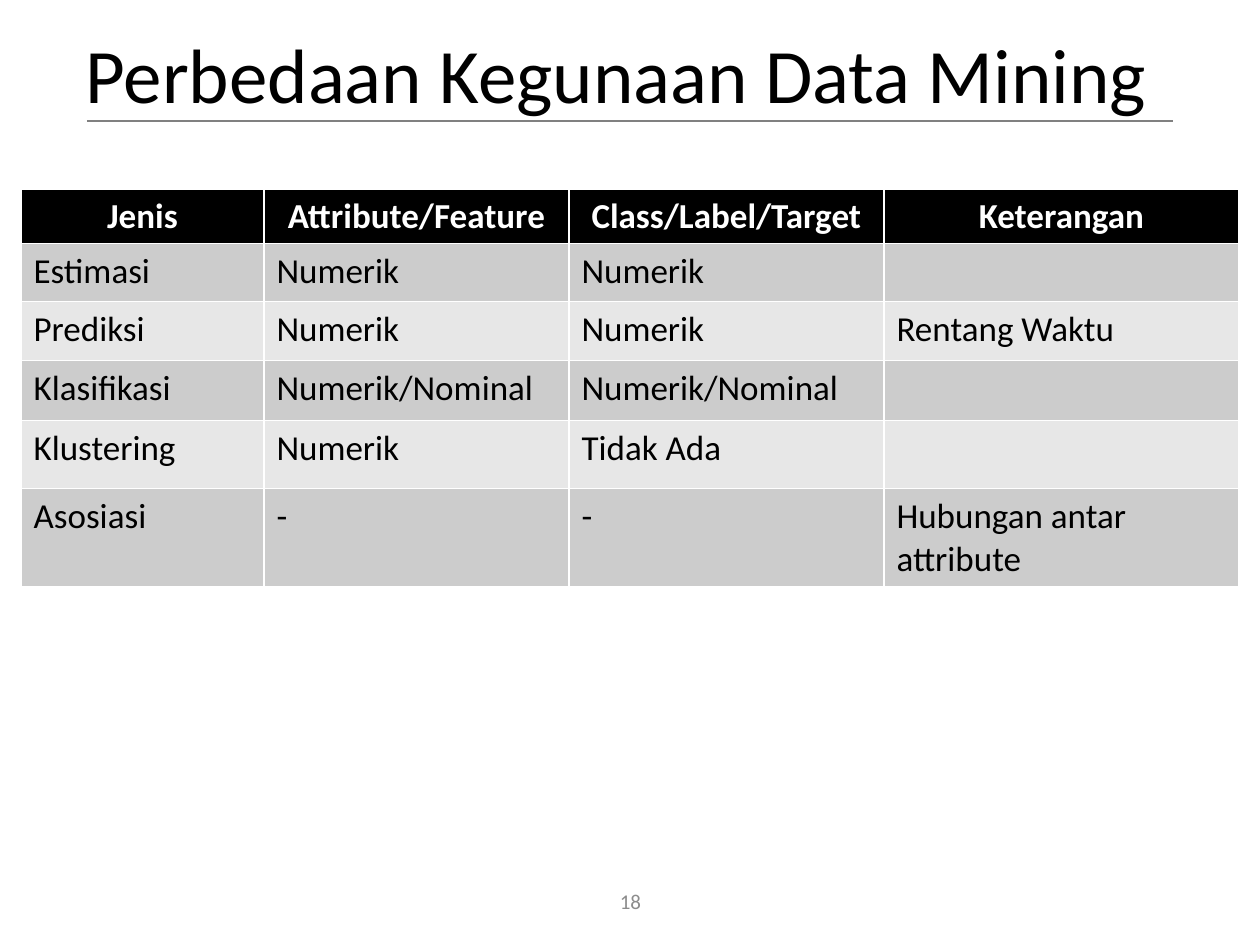
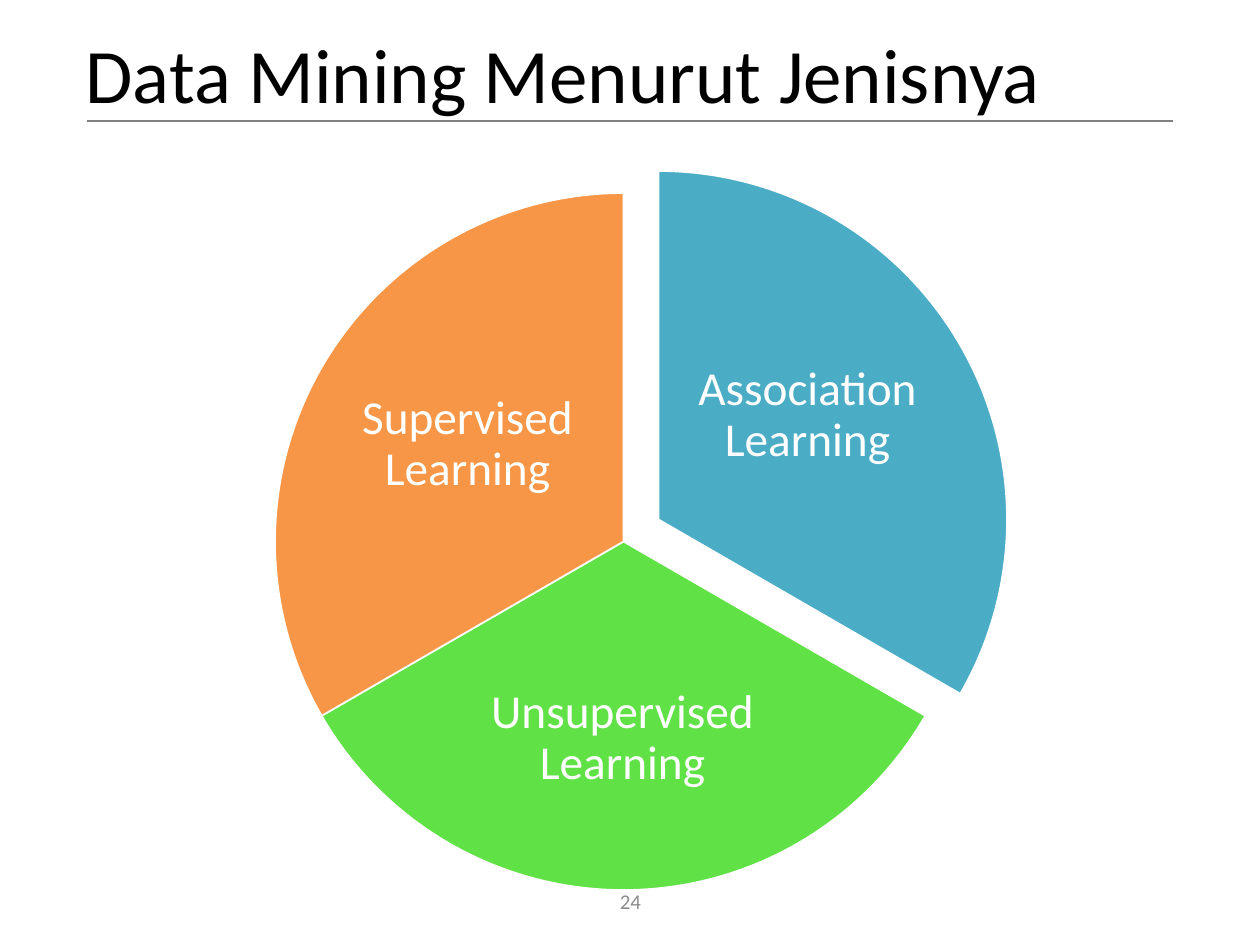
from lxml import etree
from pptx import Presentation
from pptx import util as u
from pptx.dml import color
from pptx.enum import shapes, text
from pptx.oxml import ns

BLACK, WHITE = "000000", "FFFFFF"
LEFT, MID = text.PP_ALIGN.LEFT, text.PP_ALIGN.CENTER


def px(num):
    return u.Emu(round(num * 914400 / 126))


def box(*nums):
    return [px(num) for num in nums]


def rgb(code):
    return color.RGBColor.from_string(code)


class Deck:
    font = "Calibri"
    grey = "808080"
    faint = "8C8C8C"
    bands = ("CCCCCC", "E7E7E7")

    def __init__(self):
        self.prs = Presentation()
        self.prs.slide_width, self.prs.slide_height = box(1260, 945)
        self.slide = None

    def page(self, title, num):
        self.slide = self.prs.slides.add_slide(self.prs.slide_layouts[5])
        self.label(str(num), (489, 876, 283, 50), 12, self.faint)
        self.rule(87, 1173, 121)
        self.title(title)

    def style(self, frame, size, ink, align, bold=False, space=None):
        for para in frame.paragraphs:
            para.alignment = align
            para.line_spacing = space
            for run in para.runs:
                run.font.name = self.font
                run.font.size = u.Pt(size)
                run.font.bold = bold
                run.font.color.rgb = rgb(ink)

    def title(self, words):
        head = self.slide.shapes.title
        head.left, head.top, head.width, head.height = box(73, 0, 1134, 158)
        frame = head.text_frame
        frame.text = words
        frame.auto_size = text.MSO_AUTO_SIZE.NONE
        frame.vertical_anchor = text.MSO_ANCHOR.MIDDLE
        self.style(frame, 44, BLACK, LEFT, space=0.9)

    def rule(self, left, right, top):
        line = self.slide.shapes.add_connector(
            shapes.MSO_CONNECTOR.STRAIGHT, *box(left, top, right, top))
        line.line.color.rgb = rgb(self.grey)
        line.line.width = u.Pt(1)
        etree.SubElement(line._element.spPr, ns.qn("a:effectLst"))

    def label(self, words, place, size, ink, space=None):
        frame = self.slide.shapes.add_textbox(*box(*place)).text_frame
        frame.word_wrap = True
        frame.vertical_anchor = text.MSO_ANCHOR.MIDDLE
        frame.margin_left = frame.margin_right = px(5)
        frame.margin_top = frame.margin_bottom = px(5)
        frame.text = words
        self.style(frame, size, ink, MID, space=space)

    def slice(self, place, start, end, fill):
        pie = self.slide.shapes.add_shape(shapes.MSO_SHAPE.PIE, *box(*place))
        pie.adjustments[0], pie.adjustments[1] = start, end
        pie.shadow.inherit = False
        pie.fill.solid()
        pie.fill.fore_color.rgb = rgb(fill)
        pie.line.color.rgb = rgb(WHITE)
        pie.line.width = u.Pt(1)

    def table(self, left, top, cols, rows, data):
        grid = self.slide.shapes.add_table(
            len(rows), len(cols), *box(left, top, sum(cols), sum(rows))).table
        for col, width in zip(grid.columns, cols):
            col.width = px(width)
        for r, (row, height) in enumerate(zip(grid.rows, rows)):
            row.height = px(height)
            head = r == 0
            fill = BLACK if head else self.bands[(r - 1) % 2]
            for cell, words in zip(row.cells, data[r]):
                cell.text = words
                cell.fill.solid()
                cell.fill.fore_color.rgb = rgb(fill)
                self.style(cell.text_frame, 20, WHITE if head else BLACK,
                           MID if head else LEFT, bold=head)


def main():
    deck = Deck()

    deck.page("Perbedaan Kegunaan Data Mining", 18)
    deck.table(21, 189, (243, 305, 315, 355), (54, 58, 59, 60, 68, 98), (
        ("Jenis", "Attribute/Feature", "Class/Label/Target", "Keterangan"),
        ("Estimasi", "Numerik", "Numerik", ""),
        ("Prediksi", "Numerik", "Numerik", "Rentang Waktu"),
        ("Klasifikasi", "Numerik/Nominal", "Numerik/Nominal", ""),
        ("Klustering", "Numerik", "Tidak Ada", ""),
        ("Asosiasi", "-", "-", "Hubungan antar attribute"),
    ))

    deck.page("Data Mining Menurut Jenisnya", 24)
    parts = (
        ("Association Learning", "4BACC6", (310, 171), 162, 18,
         (689, 300, 237, 232)),
        ("Unsupervised Learning", "60E146", (275, 193), 18, 90,
         (465, 631, 315, 215)),
        ("Supervised Learning", "F79646", (275, 193), 90, 162,
         (349, 329, 237, 232)),
    )
    for words, fill, spot, start, end, place in parts:
        deck.slice((*spot, 697, 697), start, end, fill)
        deck.label(words, place, 27, WHITE, space=0.9)

    deck.prs.save("out.pptx")


if __name__ == "__main__":
    main()
